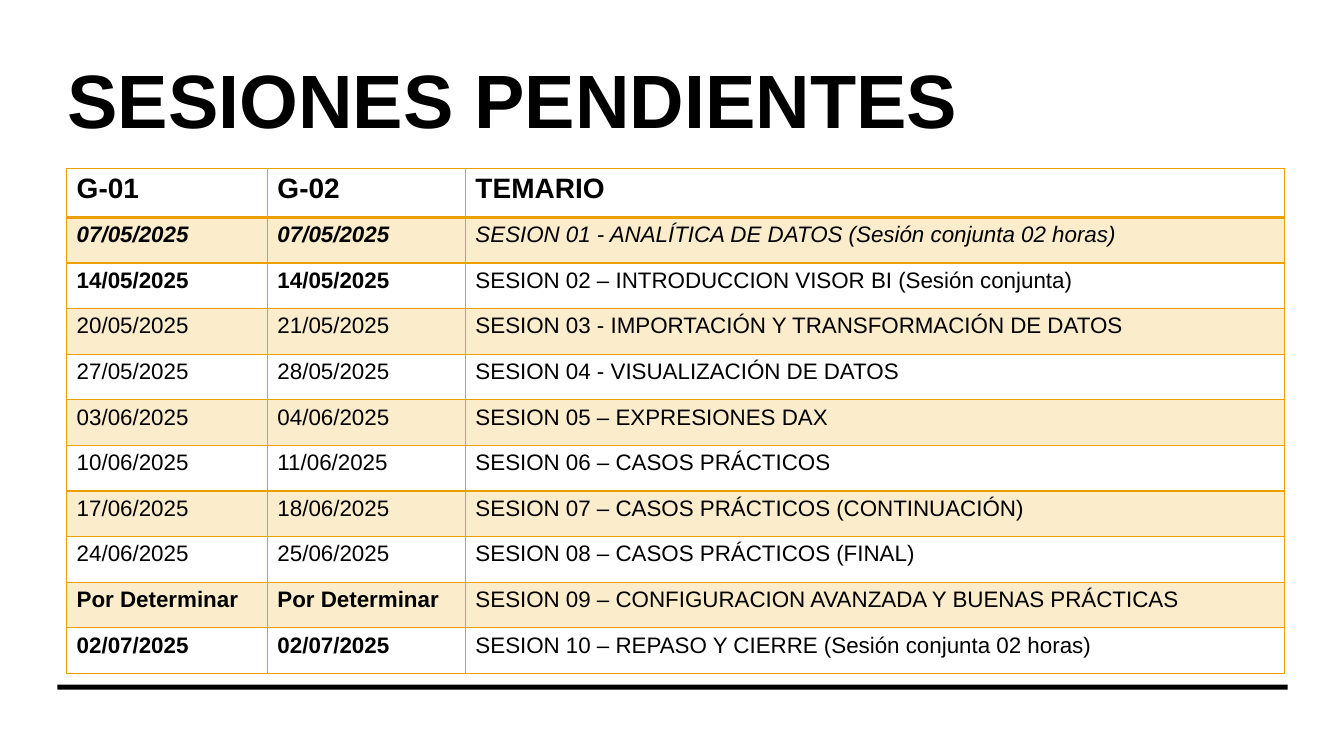
from dataclasses import dataclass

from lxml.etree import SubElement
from pptx import Presentation
from pptx.dml.color import RGBColor
from pptx.enum.shapes import MSO_SHAPE
from pptx.enum.text import MSO_ANCHOR
from pptx.oxml import parse_xml
from pptx.oxml.ns import nsdecls, qn
from pptx.slide import Slide
from pptx.table import _Cell
from pptx.text.text import TextFrame
from pptx.util import Cm, Pt

BLACK = RGBColor(0x00, 0x00, 0x00)
AMBER = RGBColor(0xEB, 0xA0, 0x00)
FONT = "Arial"
BAND_OPACITY = 20

COLUMN_WIDTHS = (5.06, 4.99, 20.64)
HEADER_HEIGHT = 1.24
SESSION_HEIGHT = 1.15
HEADINGS = ("G-01", "G-02", "TEMARIO")


@dataclass(frozen=True)
class Session:
    group_1: str
    group_2: str
    topic: str
    bold_dates: bool = False
    italic: bool = False


SESSIONS = (
    Session("07/05/2025", "07/05/2025",
            "SESION 01 - ANALÍTICA DE DATOS (Sesión conjunta 02 horas)",
            bold_dates=True, italic=True),
    Session("14/05/2025", "14/05/2025",
            "SESION 02 – INTRODUCCION VISOR BI (Sesión conjunta)", bold_dates=True),
    Session("20/05/2025", "21/05/2025",
            "SESION 03 - IMPORTACIÓN Y TRANSFORMACIÓN DE DATOS"),
    Session("27/05/2025", "28/05/2025", "SESION 04 - VISUALIZACIÓN DE DATOS"),
    Session("03/06/2025", "04/06/2025", "SESION 05 – EXPRESIONES DAX"),
    Session("10/06/2025", "11/06/2025", "SESION 06 – CASOS PRÁCTICOS"),
    Session("17/06/2025", "18/06/2025", "SESION 07 – CASOS PRÁCTICOS (CONTINUACIÓN)"),
    Session("24/06/2025", "25/06/2025", "SESION 08 – CASOS PRÁCTICOS (FINAL)"),
    Session("Por Determinar", "Por Determinar",
            "SESION 09 – CONFIGURACION AVANZADA Y BUENAS PRÁCTICAS", bold_dates=True),
    Session("02/07/2025", "02/07/2025",
            "SESION 10 – REPASO Y CIERRE (Sesión conjunta 02 horas)", bold_dates=True),
)


def write(frame: TextFrame, text: str, *, size: float, bold: bool = False,
          italic: bool = False, line_spacing: float = 1.0) -> None:
    paragraph = frame.paragraphs[0]
    paragraph.line_spacing = line_spacing
    run = paragraph.add_run()
    run.text = text
    run.font.name = FONT
    run.font.size = Pt(size)
    run.font.bold = bold
    run.font.italic = italic
    run.font.color.rgb = BLACK


def style_cell(cell: _Cell, *, banded: bool = False, top: float = 1,
               bottom: float = 1) -> None:
    # Fill
    properties = cell._tc.get_or_add_tcPr()
    if banded:
        cell.fill.solid()
        cell.fill.fore_color.rgb = AMBER
        color = properties.find(f".//{qn('a:srgbClr')}")
        SubElement(color, qn("a:alpha"), val=str(BAND_OPACITY * 1000))
    else:
        cell.fill.background()

    # Borders stand before the fill
    widths = {"lnL": 1, "lnR": 1, "lnT": top, "lnB": bottom}
    for position, (side, width) in enumerate(widths.items()):
        properties.insert(position, parse_xml(
            f'<a:{side} {nsdecls("a")} w="{Pt(width)}"><a:solidFill>'
            f'<a:srgbClr val="{AMBER}"/></a:solidFill></a:{side}>'))


def add_title(slide: Slide) -> None:
    title = slide.shapes.add_textbox(Cm(1.45), Cm(1.4), Cm(31), Cm(2.46))
    title.text_frame.word_wrap = True
    title.text_frame.vertical_anchor = MSO_ANCHOR.MIDDLE
    write(title.text_frame, "SESIONES PENDIENTES", size=54, bold=True, line_spacing=0.9)


def add_schedule(slide: Slide) -> None:
    height = HEADER_HEIGHT + SESSION_HEIGHT * len(SESSIONS)
    schedule = slide.shapes.add_table(
        len(SESSIONS) + 1, len(HEADINGS),
        Cm(1.68), Cm(4.24), Cm(sum(COLUMN_WIDTHS)), Cm(height)).table
    schedule.first_row = False
    schedule.horz_banding = False
    for column, width in zip(schedule.columns, COLUMN_WIDTHS):
        column.width = Cm(width)
    for row in schedule.rows:
        row.height = Cm(SESSION_HEIGHT)
    schedule.rows[0].height = Cm(HEADER_HEIGHT)

    # Header row
    for cell, heading in zip(schedule.rows[0].cells, HEADINGS):
        write(cell.text_frame, heading, size=20, bold=True)
        style_cell(cell, bottom=2)

    # Session rows, every other one banded
    for number, session in enumerate(SESSIONS, start=1):
        contents = (
            (session.group_1, session.bold_dates),
            (session.group_2, session.bold_dates),
            (session.topic, False),
        )
        for cell, (text, bold) in zip(schedule.rows[number].cells, contents):
            write(cell.text_frame, text, size=16, bold=bold, italic=session.italic)
            style_cell(cell, banded=number % 2 == 1, top=2 if number == 1 else 1)


def add_closing_rule(slide: Slide) -> None:
    rule = slide.shapes.add_shape(
        MSO_SHAPE.RECTANGLE, Cm(1.45), Cm(17.25), Cm(31), Cm(0.13))
    rule.shadow.inherit = False
    rule.fill.solid()
    rule.fill.fore_color.rgb = BLACK
    rule.line.fill.background()


def main() -> None:
    presentation = Presentation()
    presentation.slide_width = Cm(33.87)
    presentation.slide_height = Cm(19.05)
    slide = presentation.slides.add_slide(presentation.slide_layouts[6])
    add_title(slide)
    add_closing_rule(slide)
    add_schedule(slide)
    presentation.save("out.pptx")


if __name__ == "__main__":
    main()
